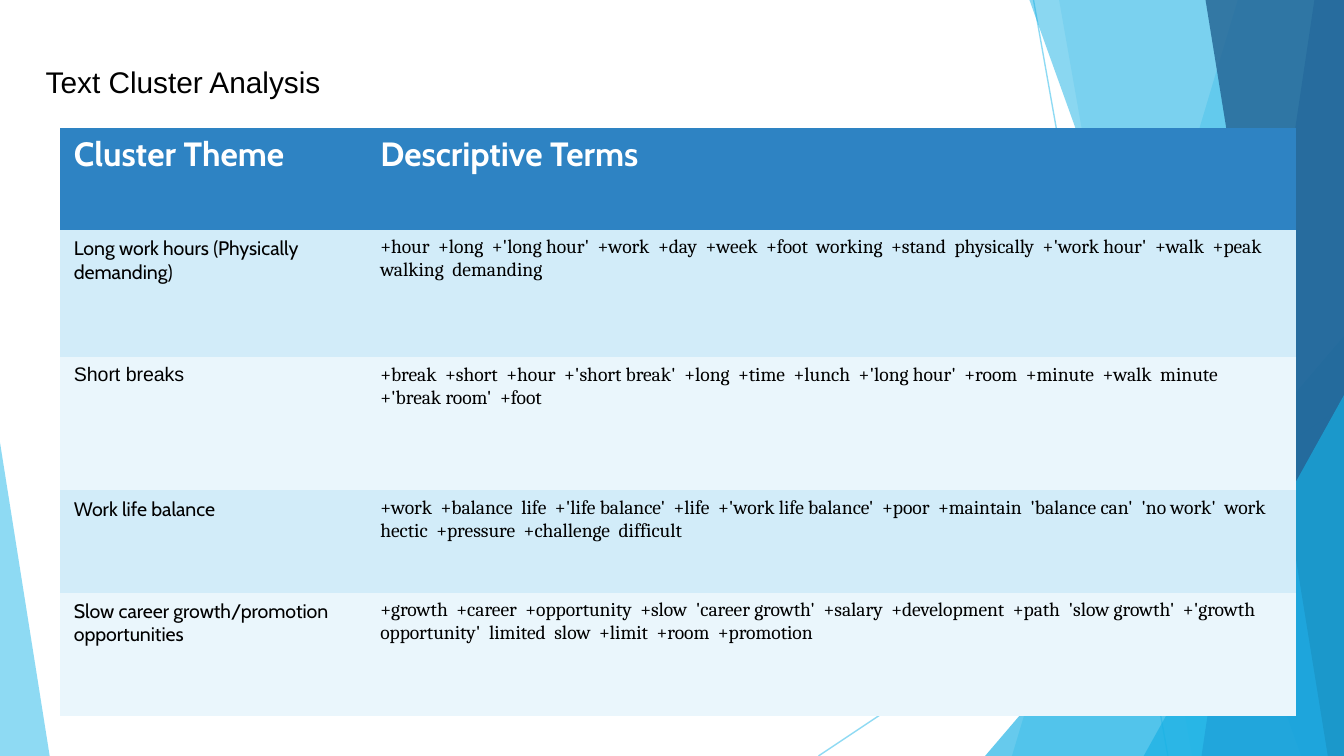
from dataclasses import dataclass

from lxml.etree import SubElement
from pptx import Presentation
from pptx.dml.color import RGBColor
from pptx.dml.fill import FillFormat
from pptx.enum.shapes import MSO_CONNECTOR, MSO_SHAPE
from pptx.enum.text import MSO_ANCHOR, PP_ALIGN
from pptx.oxml.ns import qn
from pptx.shapes.base import BaseShape
from pptx.slide import Slide
from pptx.text.text import TextFrame
from pptx.util import Inches, Pt

WIDE = 10
HIGH = WIDE * 9 / 16
GAP = chr(160) + " "
PLAIN = "{2D5ABB26-0587-4C30-8999-92F81FD0307C}"


@dataclass(frozen=True)
class Theme:
    sky: str = "5FCBEF"
    cyan: str = "17B0E4"
    blue: str = "2E83C3"
    navy: str = "226292"
    white: str = "FFFFFF"
    black: str = "000000"
    bands: tuple[str, str] = ("D2ECF9", "EAF6FC")
    title: float = 16
    head: float = 18
    body: float = 10.5
    sans: str = "Arial"
    label: str = "Cabin"
    serif: str = "Cambria"


@dataclass(frozen=True)
class Ray:
    start: tuple[float, float]
    end: tuple[float, float]


@dataclass(frozen=True)
class Shard:
    top: float
    base: float
    color: str
    alpha: int


@dataclass(frozen=True)
class Wedge:
    left: float
    top: float
    width: float
    apex: int
    color: str
    alpha: int


@dataclass(frozen=True)
class Cluster:
    name: str
    terms: str
    height: float
    font: str


LOOK = Theme()

RAYS = (Ray((7.69, 0), (8.69, HIGH)), Ray((WIDE, 3.02), (6.09, HIGH)))

DECOR = (
    Shard(9.21, 7.53, LOOK.sky, 36),
    Shard(7.88, 8.87, LOOK.sky, 20),
    Wedge(7.33, 2.5, 2.67, 1, LOOK.cyan, 66),
    Shard(7.66, 9.68, LOOK.cyan, 50),
    Shard(9.78, 8.94, LOOK.blue, 70),
    Shard(8.97, 9.88, LOOK.navy, 80),
    Wedge(8.51, 2.94, 1.49, 1, LOOK.cyan, 66),
    Wedge(0, 3.29, 0.37, 0, LOOK.sky, 70),
)

HEADS = ("Cluster Theme", "Descriptive Terms")
COLS = (2.28, 6.91)
HEAD_ROW = 0.76

CLUSTERS = (
    Cluster(
        "Long work hours (Physically demanding)",
        "+hour, +long, +'long hour', +work, +day, +week, +foot, working, +stand, "
        "physically, +'work hour', +walk, +peak, walking, demanding",
        0.95, LOOK.label),
    Cluster(
        "Short breaks",
        "+break, +short, +hour, +'short break', +long, +time, +lunch, +'long hour', "
        "+room, +minute, +walk, minute, +'break room', +foot",
        0.99, LOOK.sans),
    Cluster(
        "Work life balance",
        "+work, +balance, life, +'life balance', +life, +'work life balance', +poor, "
        "+maintain, 'balance can', 'no work', work, hectic, +pressure, +challenge, difficult",
        0.76, LOOK.label),
    Cluster(
        "Slow career growth/promotion opportunities",
        "+growth, +career, +opportunity, +slow, 'career growth', +salary, +development, "
        "+path, 'slow growth', +'growth opportunity', limited, slow, +limit, +room, +promotion",
        0.92, LOOK.label),
)


def tint(fill: FillFormat, color: str, alpha: int = 100) -> None:
    fill.solid()
    fill.fore_color.rgb = RGBColor.from_string(color)
    if alpha < 100:
        for node in fill._xPr.iter(qn("a:srgbClr")):
            SubElement(node, qn("a:alpha")).set("val", str(alpha * 1000))


def write(frame: TextFrame, text: str, face: str, size: float,
          color: str, bold: bool = False) -> None:
    frame.text = text
    para = frame.paragraphs[0]
    para.alignment = PP_ALIGN.LEFT
    font = para.font
    font.name, font.size, font.bold = face, Pt(size), bold
    font.color.rgb = RGBColor.from_string(color)


def draw_ray(slide: Slide, ray: Ray) -> None:
    ends = [Inches(n) for n in (*ray.start, *ray.end)]
    line = slide.shapes.add_connector(MSO_CONNECTOR.STRAIGHT, *ends)
    line.line.width = Pt(0.75)
    tint(line.line.fill, LOOK.sky, 70)
    SubElement(line._element.spPr, qn("a:effectLst"))


def add_shard(slide: Slide, part: Shard) -> BaseShape:
    pen = slide.shapes.build_freeform(Inches(part.top), 0)
    spots = ((WIDE, 0), (WIDE, HIGH), (part.base, HIGH))
    pen.add_line_segments([(Inches(x), Inches(y)) for x, y in spots])
    return pen.convert_to_shape()


def add_wedge(slide: Slide, part: Wedge) -> BaseShape:
    shape = slide.shapes.add_shape(
        MSO_SHAPE.ISOSCELES_TRIANGLE, Inches(part.left), Inches(part.top),
        Inches(part.width), Inches(HIGH - part.top))
    shape.adjustments[0] = part.apex
    return shape


def draw_part(slide: Slide, part: Shard | Wedge) -> None:
    add = add_shard if isinstance(part, Shard) else add_wedge
    shape = add(slide, part)
    shape.shadow.inherit = False
    shape.line.fill.background()
    tint(shape.fill, part.color, part.alpha)


def draw_title(slide: Slide, text: str) -> None:
    title = slide.shapes.title
    title.left, title.top = Inches(0.24), Inches(0.42)
    title.width, title.height = Inches(3), Inches(0.37)
    title.text_frame.vertical_anchor = MSO_ANCHOR.TOP
    title.text_frame.word_wrap = True
    write(title.text_frame, text, LOOK.sans, LOOK.title, LOOK.black)


def draw_table(slide: Slide) -> None:
    rows = (HEAD_ROW, *(item.height for item in CLUSTERS))
    table = slide.shapes.add_table(
        len(rows), len(COLS), Inches(0.45), Inches(0.95),
        Inches(sum(COLS)), Inches(sum(rows))).table
    table.horz_banding = False
    table._tbl.tblPr.find(qn("a:tableStyleId")).text = PLAIN
    for col, width in zip(table.columns, COLS):
        col.width = Inches(width)
    for row, height in zip(table.rows, rows):
        row.height = Inches(height)
    for cell, text in zip(table.rows[0].cells, HEADS):
        tint(cell.fill, LOOK.blue)
        write(cell.text_frame, text, LOOK.label, LOOK.head, LOOK.white, True)
    for i, item in enumerate(CLUSTERS):
        pairs = ((item.name, item.font), (item.terms.replace(", ", GAP), LOOK.serif))
        for cell, (text, face) in zip(table.rows[i + 1].cells, pairs):
            tint(cell.fill, LOOK.bands[i % 2])
            write(cell.text_frame, text, face, LOOK.body, LOOK.black)


def main() -> None:
    deck = Presentation()
    deck.slide_width, deck.slide_height = Inches(WIDE), Inches(HIGH)
    slide = deck.slides.add_slide(deck.slide_layouts[5])
    for ray in RAYS:
        draw_ray(slide, ray)
    for part in DECOR:
        draw_part(slide, part)
    draw_table(slide)
    draw_title(slide, "Text Cluster Analysis")
    deck.save("out.pptx")


if __name__ == "__main__":
    main()
